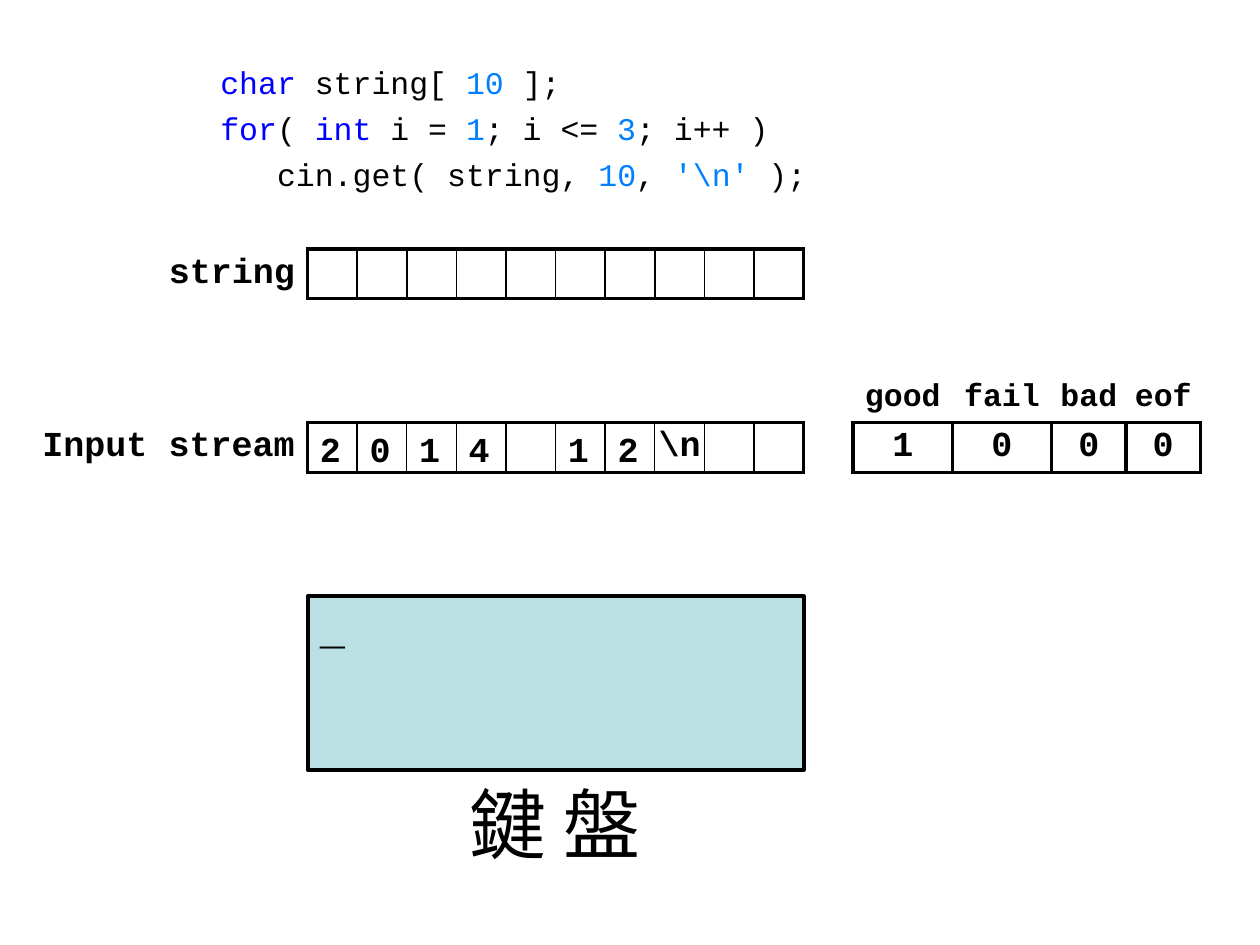
from lxml import etree
from pptx import Presentation
from pptx.dml.color import RGBColor
from pptx.enum.shapes import MSO_SHAPE
from pptx.enum.text import MSO_ANCHOR, PP_ALIGN
from pptx.oxml.ns import qn
from pptx.util import Pt

LEFT, CENTER, RIGHT = PP_ALIGN.LEFT, PP_ALIGN.CENTER, PP_ALIGN.RIGHT
TOP, MIDDLE = MSO_ANCHOR.TOP, MSO_ANCHOR.MIDDLE
RECTANGLE = MSO_SHAPE.RECTANGLE

BLACK = RGBColor(0x00, 0x00, 0x00)
KEYWORD = RGBColor(0x00, 0x00, 0xFF)
LITERAL = RGBColor(0x00, 0x80, 0xFF)
SCREEN = RGBColor(0xBB, 0xE0, 0xE3)

MONO = "Courier New"
CJK = "Noto Sans CJK SC"
THIN, THICK = 1, 2.25
NO_GRID_STYLE = "{2D5ABB26-0587-4C30-8999-92F81FD0307C}"

# Everything sits on a grid of square memory cells
CELL = 28.35
ARRAY_SIZE = 10
ARRAY_LEFT = 175.75
STRING_TOP = 142.3
STREAM_TOP = STRING_TOP + 3.5 * CELL
KEYBOARD_TOP = STRING_TOP + 7 * CELL


def add_text(paragraph, text, size=20, color=BLACK, bold=True, font=MONO, align=None):
    run = paragraph.add_run()
    run.text = text
    run.font.size = Pt(size)
    run.font.bold = bold
    run.font.color.rgb = color
    run.font.name = font
    etree.SubElement(run.font._element, qn("a:ea"), typeface=font)
    if align is not None:
        paragraph.alignment = align


class SlideBuilder:
    def __init__(self, slide):
        self.slide = slide
        self.line_color = BLACK

    def text_box(self, left, top, width, height, anchor=TOP, wrap=True, top_inset=3.6):
        box = self.slide.shapes.add_textbox(Pt(left), Pt(top), Pt(width), Pt(height))
        frame = box.text_frame
        frame.word_wrap = wrap
        frame.vertical_anchor = anchor
        frame.margin_top = Pt(top_inset)
        return frame

    def panel(self, left, top, width, height, fill):
        panel = self.slide.shapes.add_shape(
            RECTANGLE, Pt(left), Pt(top), Pt(width), Pt(height))
        panel.shadow.inherit = False
        panel.fill.solid()
        panel.fill.fore_color.rgb = fill
        panel.line.color.rgb = self.line_color
        panel.line.width = Pt(THICK)
        panel.text_frame.vertical_anchor = TOP
        panel.text_frame.word_wrap = False
        return panel.text_frame

    def table(self, left, top, widths, rows):
        frame = self.slide.shapes.add_table(
            rows, len(widths), Pt(left), Pt(top), Pt(sum(widths)), Pt(rows * CELL))
        table = frame.table
        table.first_row = table.horz_banding = False
        table._tbl.tblPr.find(qn("a:tableStyleId")).text = NO_GRID_STYLE
        for column, width in zip(table.columns, widths):
            column.width = Pt(width)
        for row in table.rows:
            row.height = Pt(CELL)
        for cell in table.iter_cells():
            cell.margin_left = cell.margin_right = 0
            cell.margin_top = cell.margin_bottom = 0
            cell.vertical_anchor = MIDDLE
            cell.fill.background()
        return table

    def borders(self, cell, **widths):
        """Widths are given by side: L, R, T, B, in this order."""
        properties = cell._tc.get_or_add_tcPr()
        for position, (side, width) in enumerate(widths.items()):
            line = etree.Element(qn(f"a:ln{side}"), w=str(Pt(width)))
            fill = etree.SubElement(line, qn("a:solidFill"))
            etree.SubElement(fill, qn("a:srgbClr"), val=str(self.line_color))
            properties.insert(position, line)

    def label(self, cell, text):
        cell.margin_right = Pt(7.2)
        add_text(cell.text_frame.paragraphs[0], text, align=RIGHT)
        self.borders(cell, R=THICK)

    def array(self, table, row):
        for index in range(ARRAY_SIZE):
            self.borders(
                table.cell(row, index + 1),
                L=THICK if index == 0 else THIN,
                R=THICK if index == ARRAY_SIZE - 1 else THIN,
                T=THICK, B=THICK)


def main():
    prs = Presentation()
    prs.slide_width, prs.slide_height = Pt(720), Pt(540)
    builder = SlideBuilder(prs.slides.add_slide(prs.slide_layouts[6]))

    # Keyboard caption
    caption = builder.text_box(246.2, 440, 141.8, 70.6, wrap=False)
    add_text(caption.paragraphs[0], "鍵 盤", size=44, bold=False, font=CJK, align=CENTER)

    # Code
    code_lines = [
        [("char", KEYWORD), (" string[ ", BLACK), ("10", LITERAL), (" ];", BLACK)],
        [("for", KEYWORD), ("( ", BLACK), ("int", KEYWORD), (" i = ", BLACK),
         ("1", LITERAL), ("; i <= ", BLACK), ("3", LITERAL), ("; i++ )", BLACK)],
        [("   cin.get( string, ", BLACK), ("10", LITERAL), (", ", BLACK),
         ("'\\n'", LITERAL), (" );", BLACK)],
    ]
    code = builder.text_box(118.8, 28.8, 354.2, 85, top_inset=7)
    for number, tokens in enumerate(code_lines):
        line = code.add_paragraph() if number else code.paragraphs[0]
        if number:
            line.space_before = Pt(4.75)
        for token, color in tokens:
            add_text(line, token, size=18, color=color, bold=False, align=LEFT)

    # Input stream with its state flags
    flags = [("good", "1", 2), ("fail", "0", 2), ("bad", "0", 1.5), ("eof", "0", 1.5)]
    label_width = 5.5 * CELL
    stream_widths = [label_width] + [CELL] * (ARRAY_SIZE + 1)
    stream_widths += [cells * CELL for _, _, cells in flags]
    stream = builder.table(ARRAY_LEFT - label_width, STREAM_TOP - CELL, stream_widths, 2)
    builder.label(stream.cell(1, 0), "Input stream")
    builder.array(stream, 1)
    builder.borders(stream.cell(1, ARRAY_SIZE + 1), L=THICK, R=THICK)
    for column, (flag, state, _) in enumerate(flags, ARRAY_SIZE + 2):
        heading, value = stream.cell(0, column), stream.cell(1, column)
        add_text(heading.text_frame.paragraphs[0], flag, size=18, align=CENTER)
        add_text(value.text_frame.paragraphs[0], state, align=CENTER)
        builder.borders(heading, B=THICK)
        builder.borders(value, L=THICK, R=THICK, T=THICK, B=THICK)
    add_text(stream.cell(1, 8).text_frame.paragraphs[0], "\\n", align=CENTER)

    # String array
    label_width = 3 * CELL
    string = builder.table(
        ARRAY_LEFT - label_width, STRING_TOP, [label_width] + [CELL] * ARRAY_SIZE, 1)
    builder.label(string.cell(0, 0), "string")
    builder.array(string, 0)

    # Keyboard screen with its cursor
    screen = builder.panel(
        ARRAY_LEFT, KEYBOARD_TOP, ARRAY_SIZE * CELL, 3.5 * CELL, SCREEN)
    add_text(screen.paragraphs[0], "_", size=24, align=LEFT)

    # Characters waiting in the stream
    for index, character in enumerate("2014 12"):
        if character != " ":
            slot = builder.text_box(
                ARRAY_LEFT + index * CELL, STREAM_TOP + 0.5, CELL, CELL, anchor=MIDDLE)
            add_text(slot.paragraphs[0], character, align=LEFT)

    prs.save("out.pptx")


if __name__ == "__main__":
    main()
